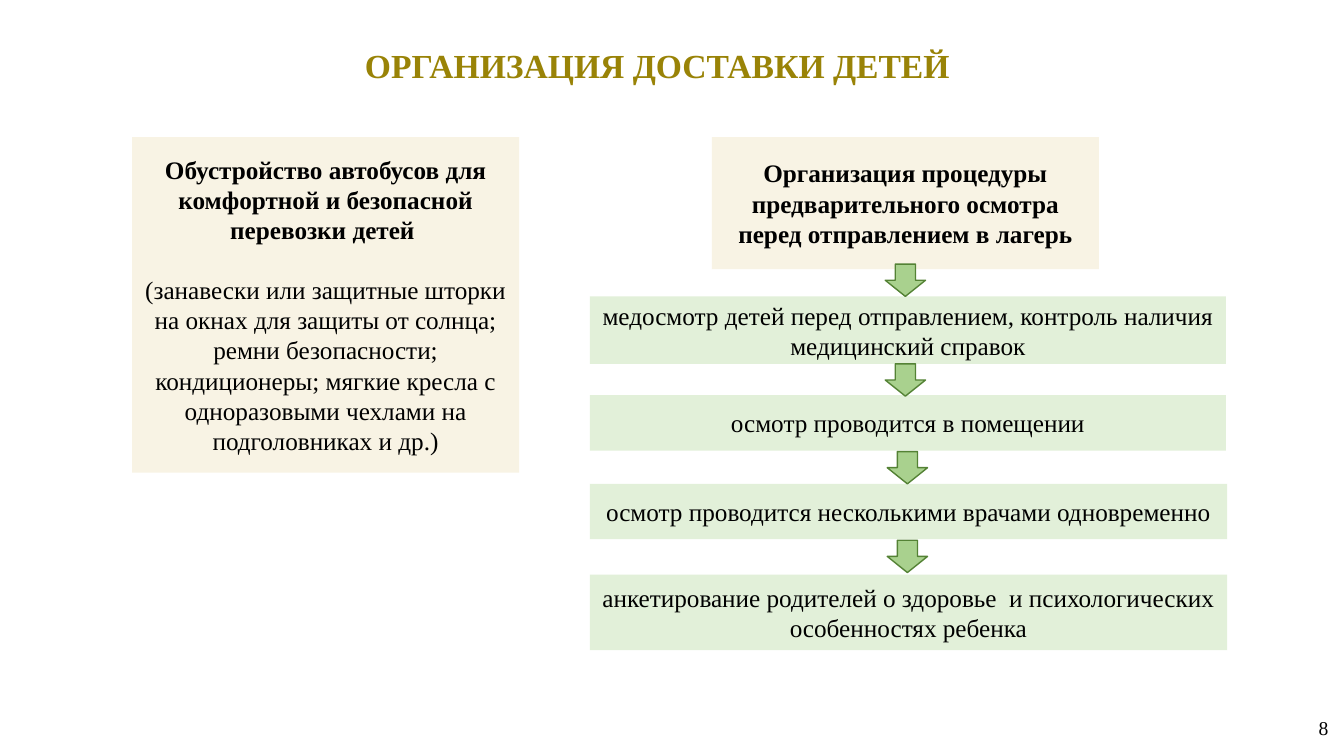
from pptx import Presentation
from pptx.dml.color import RGBColor
from pptx.enum.shapes import MSO_SHAPE
from pptx.enum.text import MSO_ANCHOR, PP_ALIGN
from pptx.util import Emu, Pt

COLORS = {
    "title": "998307",
    "text": "000000",
    "cream": "F8F3E4",
    "mint": "E2F0D9",
    "arrow": "A9D18E",
    "arrow_line": "548235",
}


def px(n):
    """100 px to the inch."""
    return Emu(n * 9144)


def rgb(name):
    return RGBColor.from_string(COLORS[name])


class SlideBuilder:
    font = "Times New Roman"
    size = 18

    def __init__(self, prs):
        self.s = prs.slides.add_slide(prs.slide_layouts[6])

    def fill_text(self, tf, paragraphs, size=size, color="text",
                  align=PP_ALIGN.CENTER, inset=(10, 5), gap=0):
        """Each paragraph is a (text, bold) pair; gap is in points."""
        tf.vertical_anchor = MSO_ANCHOR.MIDDLE
        tf.margin_left = tf.margin_right = px(inset[0])
        tf.margin_top = tf.margin_bottom = px(inset[1])
        for i, (text, bold) in enumerate(paragraphs):
            p = tf.add_paragraph() if i else tf.paragraphs[0]
            p.alignment = align
            if i:
                p.space_before = Pt(gap)
            r = p.add_run()
            r.text = text
            r.font.name, r.font.size, r.font.bold = self.font, Pt(size), bold
            r.font.color.rgb = rgb(color)

    def label(self, box, text, bold=False, wrap=True, **style):
        sp = self.s.shapes.add_textbox(*map(px, box))
        sp.text_frame.word_wrap = wrap
        self.fill_text(sp.text_frame, [(text, bold)], **style)

    def shape(self, kind, box, fill, line=None):
        sp = self.s.shapes.add_shape(kind, *map(px, box))
        sp.shadow.inherit = False
        sp.fill.solid()
        sp.fill.fore_color.rgb = rgb(fill)
        if line:
            sp.line.color.rgb = rgb(line)
            sp.line.width = Pt(1)
        else:
            sp.line.fill.background()
        return sp

    def panel(self, box, fill, paragraphs, **style):
        sp = self.shape(MSO_SHAPE.RECTANGLE, box, fill)
        sp.text_frame.word_wrap = True
        self.fill_text(sp.text_frame, paragraphs, **style)

    def arrow(self, left, top):
        self.shape(MSO_SHAPE.DOWN_ARROW, (left, top, 40, 32), "arrow", "arrow_line")


def main():
    prs = Presentation()
    prs.slide_width, prs.slide_height = px(1333), px(750)
    slide = SlideBuilder(prs)

    # Title
    slide.label((140, 22, 1024, 85), "ОРГАНИЗАЦИЯ ДОСТАВКИ ДЕТЕЙ", bold=True,
                size=24, color="title", inset=(13, 7))

    # Two topics
    slide.panel((131, 136, 384, 333), "cream", [
        ("Обустройство автобусов для комфортной и безопасной перевозки детей ", True),
        ("(занавески или защитные шторки на окнах для защиты от солнца; "
         "ремни безопасности; кондиционеры; мягкие кресла с одноразовыми "
         "чехлами на подголовниках и др.)", False),
    ], inset=(8, 4), gap=21)
    slide.panel((706, 136, 384, 131), "cream", [
        ("Организация процедуры предварительного осмотра "
         "перед отправлением в лагерь", True),
    ], inset=(8, 4))

    # Inspection steps: top, width, height, text
    steps = [
        (294, 631, 67, "медосмотр детей перед отправлением, контроль наличия "
                       "медицинский справок"),
        (392, 631, 55, "осмотр проводится в помещении"),
        (480, 632, 55, "осмотр проводится несколькими врачами одновременно"),
        (570, 632, 75, "анкетирование родителей о здоровье  и психологических "
                       "особенностях ребенка"),
    ]
    for top, width, height, text in steps:
        slide.panel((585, top, width, height), "mint", [(text, False)])

    # Arrows leading into the steps
    for left, top in [(878, 262), (878, 361), (880, 448), (880, 536)]:
        slide.arrow(left, top)

    # Slide number
    slide.label((1298, 705, 30, 34), "8", wrap=False, size=14, align=PP_ALIGN.LEFT)

    prs.save("out.pptx")


if __name__ == "__main__":
    main()
